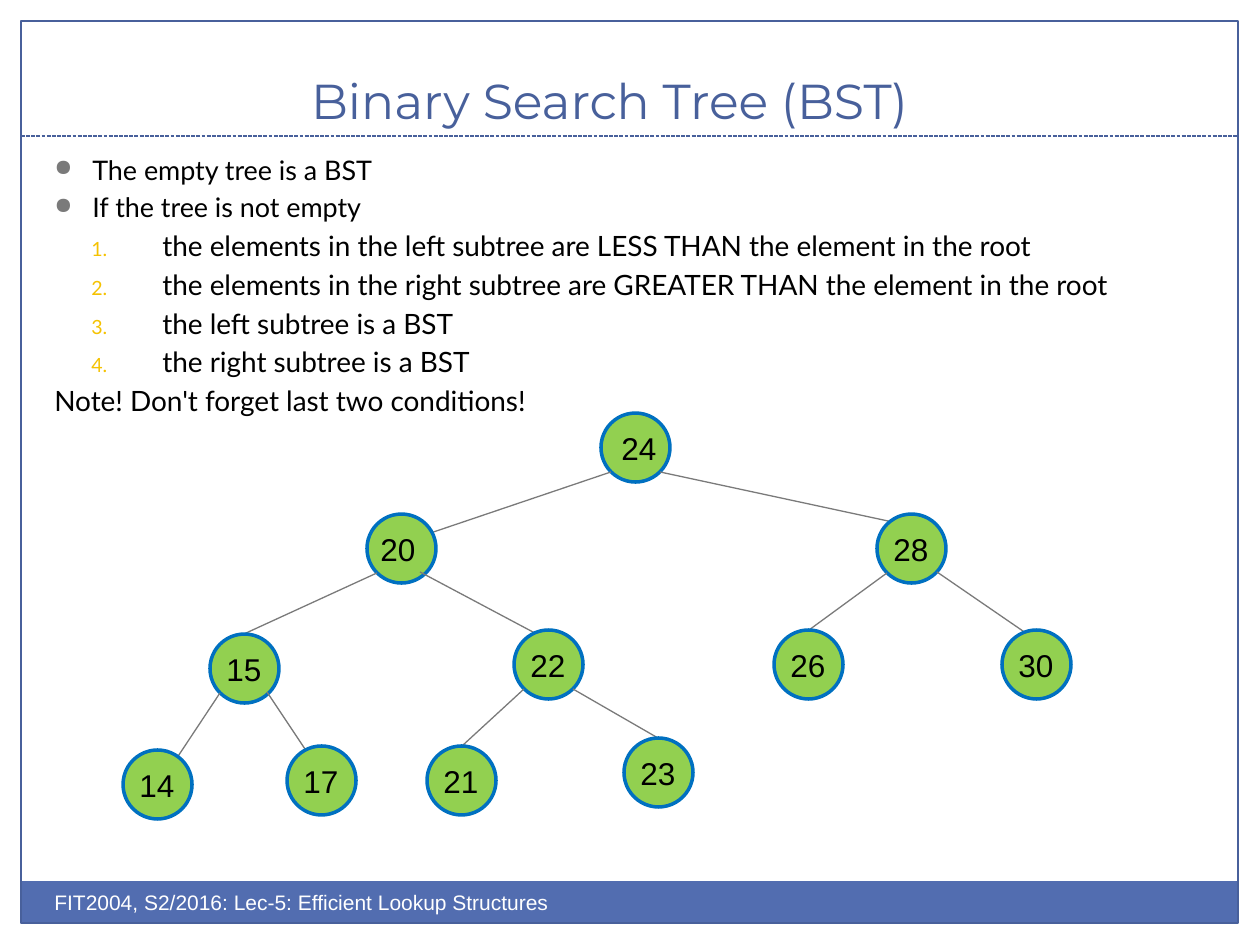
from dataclasses import dataclass

from lxml.etree import SubElement
from pptx import Presentation
from pptx.dml.color import RGBColor
from pptx.enum.dml import MSO_LINE
from pptx.enum.shapes import MSO_CONNECTOR, MSO_SHAPE
from pptx.enum.text import MSO_ANCHOR, MSO_AUTO_SIZE, PP_ALIGN
from pptx.oxml.ns import qn
from pptx.util import Emu, Pt

EMU_PER_PX = 914400 / 126


@dataclass(frozen=True)
class Theme:
    """Colours, fonts and sizes of the deck."""

    frame: str = "48609B"
    footer: str = "526DB0"
    white: str = "FFFFFF"
    ink: str = "000000"
    grey: str = "7A7A7A"
    number: str = "F5C201"
    node: str = "92D050"
    node_line: str = "0070C0"
    title_font: str = "Montserrat"
    body_font: str = "Lato"
    label_font: str = "Arial"
    title_size: float = 28
    bullet_size: float = 15.4
    body_size: float = 16
    footer_size: float = 12
    node_size: float = 18
    thin: float = 0.75
    thick: float = 2


THEME = Theme()
NODE_DIAMETER = 69

BULLET = {"size": THEME.bullet_size, "left": 38, "hang": 38, "color": THEME.grey,
          "percent": 85, "mark": ("a:buChar", {"char": "●"})}
NUMBER = {"size": THEME.body_size, "left": 108, "hang": 71, "color": THEME.number,
          "percent": 70, "mark": ("a:buAutoNum", {"type": "arabicPeriod"}), "level": 1}
PLAIN = {"size": THEME.body_size}

BODY = [
    ("The empty tree is a BST", BULLET),
    ("If the tree is not empty", BULLET),
    ("the elements in the left subtree are LESS THAN the element in the root", NUMBER),
    ("the elements in the right subtree are GREATER THAN the element in the root", NUMBER),
    ("the left subtree is a BST", NUMBER),
    ("the right subtree is a BST", NUMBER),
    ("Note! Don't forget last two conditions!", PLAIN),
]

TREE = [
    ("24", 601, 413, 8, [(611, 472, 401, 543), (660, 472, 902, 524)]),
    ("20", 367, 514, 1, [(377, 573, 244, 634), (420, 572, 548, 640)]),
    ("15", 210, 634, 4, [(220, 693, 159, 785), (267, 692, 323, 776)]),
    ("22", 514, 630, 4, [(524, 689, 462, 746), (573, 689, 658, 738)]),
    ("28", 877, 514, 4, [(887, 573, 809, 630), (937, 572, 1036, 640)]),
    ("23", 624, 738, 4, []),
    ("21", 427, 746, 4, []),
    ("17", 287, 746, 4, []),
    ("14", 123, 750, 4, []),
    ("26", 774, 630, 4, []),
    ("30", 1002, 630, 4, []),
]


def px(*lengths):
    """Turn pixel lengths into EMU."""
    return [Emu(round(length * EMU_PER_PX)) for length in lengths]


def set_all(target, values):
    """Set each attribute named in a dict."""
    for name, value in values.items():
        setattr(target, name, value)


def write(para, text, font, size, color):
    """Add a formatted span of text to a paragraph."""
    span = para.add_run()
    span.text = text
    set_all(span.font, {"name": font, "size": Pt(size)})
    span.font.color.rgb = RGBColor.from_string(color)


def add_text(shapes, area, text, font, size, color, **frame_format):
    """Add a one-paragraph text box."""
    box = shapes.add_textbox(*px(*area))
    set_all(box.text_frame, {"word_wrap": True, **frame_format})
    write(box.text_frame.paragraphs[0], text, font, size, color)


def add_preset(shapes, kind, area, fill=None, line=None, width=THEME.thin):
    """Add a preset shape with an optional fill and outline."""
    shape = shapes.add_shape(kind, *px(*area))
    shape.shadow.inherit = False
    if fill:
        shape.fill.solid()
        shape.fill.fore_color.rgb = RGBColor.from_string(fill)
    else:
        shape.fill.background()
    if line:
        shape.line.color.rgb = RGBColor.from_string(line)
        shape.line.width = Pt(width)
    else:
        shape.line.fill.background()


def add_line(shapes, ends, color, dash=None):
    """Add a thin straight line."""
    line = shapes.add_connector(MSO_CONNECTOR.STRAIGHT, *px(*ends))
    line.line.color.rgb = RGBColor.from_string(color)
    set_all(line.line, {"width": Pt(THEME.thin), "dash_style": dash})
    SubElement(line._element.spPr, qn("a:effectLst"))


def add_marker(para, style):
    """Give a paragraph its bullet or number with a hanging indent."""
    left, hang = px(style["left"], style["hang"])
    properties = para._p.get_or_add_pPr()
    properties.set("marL", str(left))
    properties.set("indent", str(-hang))
    color = SubElement(properties, qn("a:buClr"))
    SubElement(color, qn("a:srgbClr"), val=style["color"])
    SubElement(properties, qn("a:buSzPct"), val=str(style["percent"] * 1000))
    tag, attributes = style["mark"]
    SubElement(properties, qn(tag), attributes)


def add_body(shapes, area, lines):
    """Add the list of conditions."""
    frame = shapes.add_textbox(*px(*area)).text_frame
    frame.word_wrap = True
    for index, (text, style) in enumerate(lines):
        para = frame.add_paragraph() if index else frame.paragraphs[0]
        para.level = style.get("level", 0)
        if index:
            para.space_before = Pt(3)
        if "mark" in style:
            add_marker(para, style)
        write(para, text, THEME.body_font, style["size"], THEME.ink)


def add_node(shapes, value, left, top, label_shift):
    """Add a tree node as a circle grouped with its value."""
    group = shapes.add_group_shape().shapes
    add_preset(group, MSO_SHAPE.OVAL, (left, top, NODE_DIAMETER, NODE_DIAMETER),
               THEME.node, THEME.node_line, THEME.thick)
    add_text(group, (left + label_shift, top + 10, 60, 50), value,
             THEME.label_font, THEME.node_size, THEME.ink,
             word_wrap=False, auto_size=MSO_AUTO_SIZE.SHAPE_TO_FIT_TEXT)


def format_title(title, area, text):
    """Place and format the title placeholder."""
    set_all(title, dict(zip(("left", "top", "width", "height"), px(*area))))
    title.text_frame.vertical_anchor = MSO_ANCHOR.BOTTOM
    para = title.text_frame.paragraphs[0]
    para.alignment = PP_ALIGN.CENTER
    write(para, text, THEME.title_font, THEME.title_size, THEME.frame)


def main():
    """Build the slide and save the deck."""
    deck = Presentation()
    deck.slide_width, deck.slide_height = px(1260, 945)
    page = deck.slides.add_slide(deck.slide_layouts[5])
    shapes = page.shapes
    format_title(shapes.title, (-10, 31, 1239, 105), "Binary Search Tree (BST)")
    add_preset(shapes, MSO_SHAPE.RECTANGLE, (21, 881, 1217, 43), THEME.footer)
    add_preset(shapes, MSO_SHAPE.RECTANGLE, (21, 21, 1217, 902), line=THEME.frame)
    add_line(shapes, (21, 136, 1238, 136), THEME.frame, MSO_LINE.SQUARE_DOT)
    add_body(shapes, (42, 147, 1197, 294), BODY)
    add_text(shapes, (42, 883, 630, 50),
             "FIT2004, S2/2016: Lec-5: Efficient Lookup Structures",
             THEME.label_font, THEME.footer_size, THEME.white)
    for value, left, top, label_shift, edges in TREE:
        add_node(shapes, value, left, top, label_shift)
        for ends in edges:
            add_line(shapes, ends, THEME.grey)
    deck.save("out.pptx")


if __name__ == "__main__":
    main()
